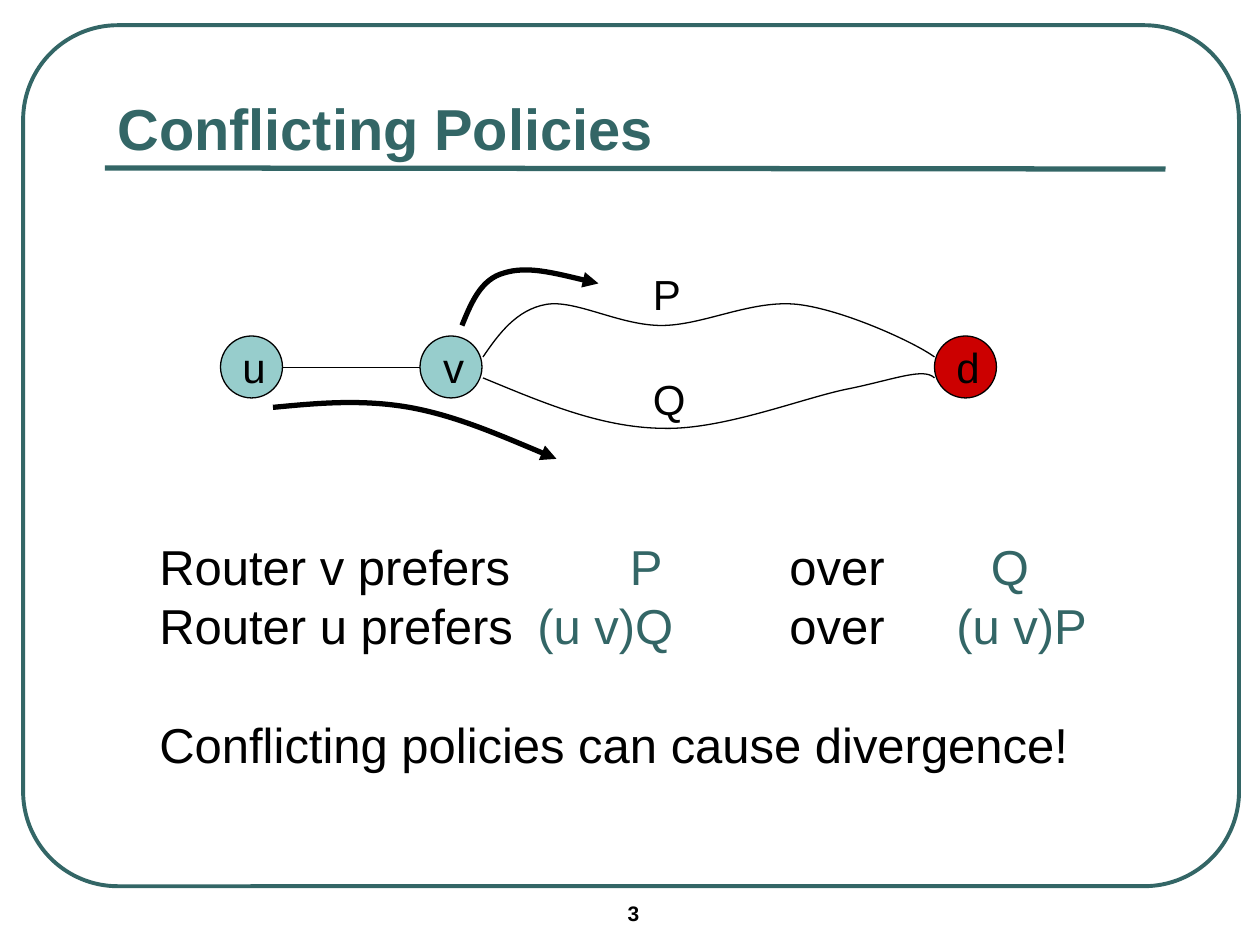
import pptx
import pptx.util
import pptx.dml.color
import pptx.enum.shapes
import pptx.enum.text
import pptx.oxml.ns
from lxml import etree

# The page is a grid of 120 columns by 90 rows
COLUMNS, ROWS = 120, 90
CELL = pptx.util.Inches(10) // COLUMNS
FONT = "Arial"
TEAL, AQUA, RED, BLACK = "336666", "97CDCC", "CC0000", "000000"
ANCHOR = pptx.enum.text.MSO_ANCHOR
SHAPE = pptx.enum.shapes.MSO_SHAPE


def grid(*cells):
    return [pptx.util.Emu(round(cell * CELL)) for cell in cells]


def colour(value):
    return pptx.dml.color.RGBColor.from_string(value)


def set_line(part, tint, width):
    part.line.color.rgb = colour(tint)
    part.line.width = pptx.util.Pt(width)


def add_span(para, text, size, tint=BLACK, bold=False):
    span = para.add_run()
    span.text = text
    span.font.name, span.font.size, span.font.bold = FONT, pptx.util.Pt(size), bold
    span.font.color.rgb = colour(tint)


def add_text(page, box, text, size, tint=BLACK, bold=False, anchor=ANCHOR.TOP):
    frame = page.shapes.add_textbox(*grid(*box)).text_frame
    frame.word_wrap = True
    frame.vertical_anchor = anchor
    add_span(frame.paragraphs[0], text, size, tint, bold)


def add_line(page, start, end, tint, width):
    line = page.shapes.add_connector(
        pptx.enum.shapes.MSO_CONNECTOR.STRAIGHT, *grid(*start, *end))
    set_line(line, tint, width)
    etree.SubElement(line._element.spPr, pptx.oxml.ns.qn("a:effectLst"))


def add_curve(page, origin, points, width, arrow=False):
    """Draw cubic curves: a start, then two handles and a node for each piece."""
    left, top = origin
    (first, *rest) = [(left + x, top + y) for x, y in points]
    builder = page.shapes.build_freeform(*grid(*first))
    builder.add_line_segments([grid(*point) for point in rest], close=False)
    curve = builder.convert_to_shape()
    curve.shadow.inherit = False
    curve.fill.background()
    set_line(curve, BLACK, width)
    # Join each three straight steps into one cubic curve
    steps = list(curve._element.iter(pptx.oxml.ns.qn("a:lnTo")))
    for index in range(0, len(steps), 3):
        bezier = etree.Element(pptx.oxml.ns.qn("a:cubicBezTo"))
        steps[index].addprevious(bezier)
        for step in steps[index:index + 3]:
            bezier.append(step[0])
            step.getparent().remove(step)
    if arrow:
        etree.SubElement(curve.line._get_or_add_ln(),
                         pptx.oxml.ns.qn("a:tailEnd"), type="triangle")


def add_node(page, box, label, fill):
    node = page.shapes.add_shape(SHAPE.OVAL, *grid(*box))
    node.shadow.inherit = False
    node.fill.solid()
    node.fill.fore_color.rgb = colour(fill)
    set_line(node, BLACK, 0.75)
    frame = node.text_frame
    frame.word_wrap = False
    frame.vertical_anchor = ANCHOR.MIDDLE
    frame.margin_top = frame.margin_bottom = frame.margin_right = 0
    frame.margin_left = pptx.util.Inches(0.04)
    frame.paragraphs[0].alignment = pptx.enum.text.PP_ALIGN.CENTER
    add_span(frame.paragraphs[0], label, 24)


def add_frame(page, box):
    border = page.shapes.add_shape(SHAPE.ROUNDED_RECTANGLE, *grid(*box))
    border.adjustments[0] = 0.11
    border.shadow.inherit = False
    border.fill.background()
    set_line(border, TEAL, 2.25)


def add_heading(page, box, text):
    left, top, width, height = box
    add_line(page, (left, top + height), (left + width, top + height + 0.1), TEAL, 3)
    add_text(page, box, text, 33, TEAL, True, ANCHOR.BOTTOM)


def add_network(page, box):
    left, top, width, height = box
    size = 5.9
    middle = top + 10
    # Link and routers
    add_line(page, (left + 2, middle), (left + 21, middle), BLACK, 0.75)
    for column, label, fill in ((0, "u", AQUA), (19, "v", AQUA),
                                (width - size, "d", RED)):
        add_node(page, (left + column, middle - 3, size, size), label, fill)
    # Paths from v to d
    add_curve(page, (left, top),
              [(25, 9), (26.5, 6.8), (28.2, 4.5), (31, 4),
               (33.8, 3.5), (38, 6), (42, 6), (46, 6), (50.6, 3.5), (55, 4),
               (59.3, 4.5), (66.1, 7.6), (68, 9)], 0.75)
    add_curve(page, (left, top),
              [(25, 11), (30.6, 13.3), (36.1, 15.7), (42, 15.8),
               (47.9, 16), (55.7, 12.8), (60, 12),
               (64.3, 11.1), (67, 10), (68, 11)], 0.75)
    # Path labels
    for row, label in ((0, "P"), (10, "Q")):
        add_text(page, (left + 40, top + row, 6, 5.7), label, 24)
    # Preferred routes
    add_curve(page, (left, top),
              [(23, 6), (23.9, 3.8), (24.8, 1.6), (27, 1),
               (29.2, 0.3), (32.6, 1.2), (36, 2)], 3, True)
    add_curve(page, (left, top),
              [(5, 13.8), (9.2, 13.4), (13.4, 13), (18, 13.8),
               (22.4, 14.6), (27.2, 16.7), (32, 18.7)], 3, True)


def add_preferences(page, box):
    frame = page.shapes.add_textbox(*grid(*box)).text_frame
    frame.word_wrap = True
    frame.margin_top = 0
    # Words of each line with the column of its tab stop
    lines = (
        ((0, "Router v prefers", BLACK), (44.8, "P", TEAL),
         (60, "over", BLACK), (79.2, "Q", TEAL)),
        ((0, "Router u prefers", BLACK), (36, "(u v)Q", TEAL),
         (60, "over", BLACK), (75.9, "(u v)P", TEAL)),
        ((0, "Conflicting policies can cause divergence!", BLACK),),
    )
    pitch = pptx.util.Pt(34)
    for index, words in enumerate(lines):
        para = frame.paragraphs[0] if index == 0 else frame.add_paragraph()
        para.line_spacing = pitch
        para.space_before = pitch if index == 2 else 0
        if len(words) > 1:
            stops = etree.SubElement(para._p.get_or_add_pPr(),
                                     pptx.oxml.ns.qn("a:tabLst"))
            for column, _, _ in words[1:]:
                etree.SubElement(stops, pptx.oxml.ns.qn("a:tab"),
                                 pos=str(grid(column)[0]), algn="l")
        for column, text, tint in words:
            add_span(para, "\t" + text if column else text, 28, tint)


def main():
    deck = pptx.Presentation()
    deck.slide_width, deck.slide_height = grid(COLUMNS, ROWS)
    page = deck.slides.add_slide(deck.slide_layouts[6])
    add_frame(page, (2.2, 2.4, 115.8, 82))
    add_heading(page, (10, 7, 101, 9), "Conflicting Policies")
    add_network(page, (21, 25, 73.9, 20))
    add_preferences(page, (14, 51, 92, 23))
    add_text(page, (58.6, 85.2, 14, 3.5), "3", 12, bold=True)
    deck.save("out.pptx")


if __name__ == "__main__":
    main()
